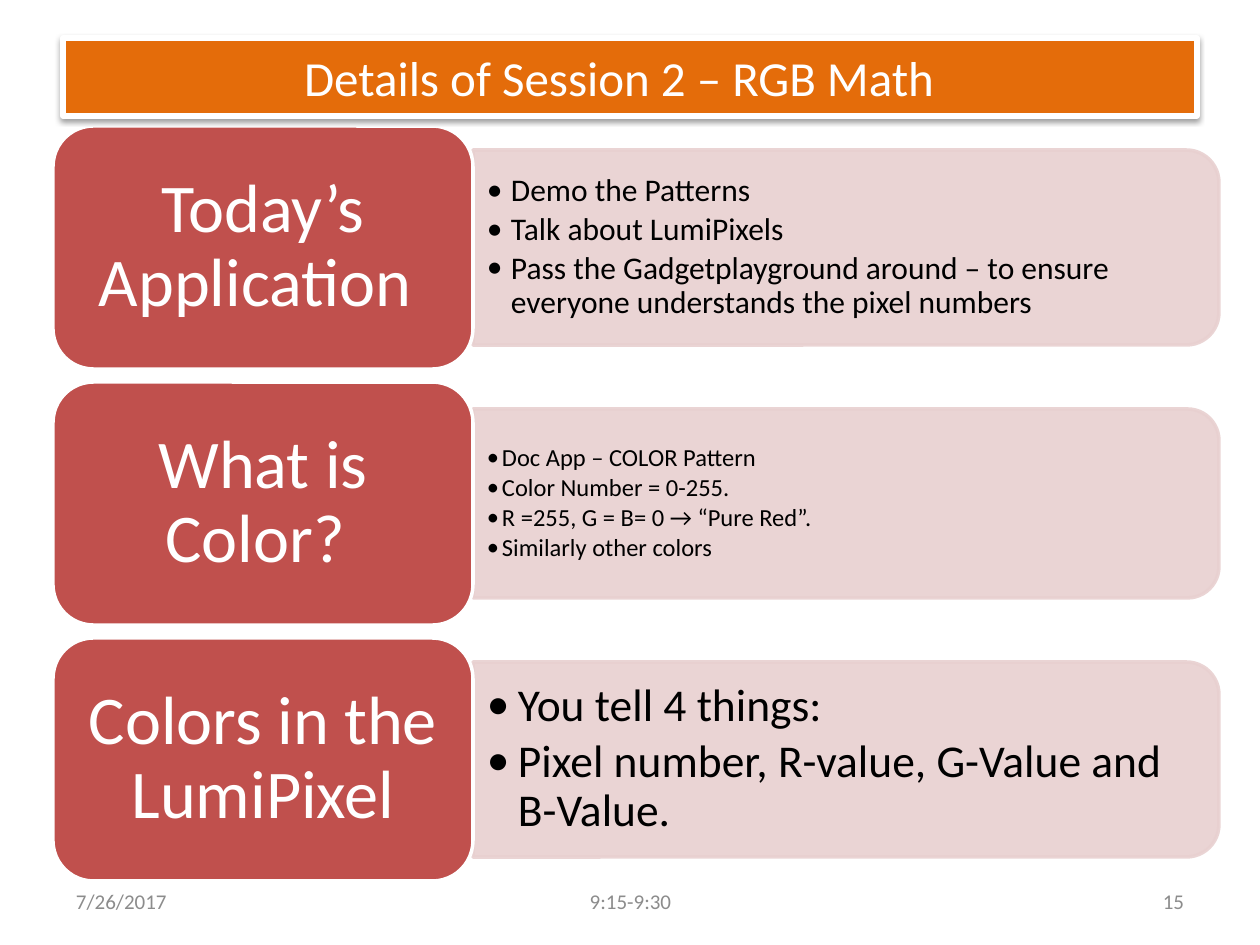
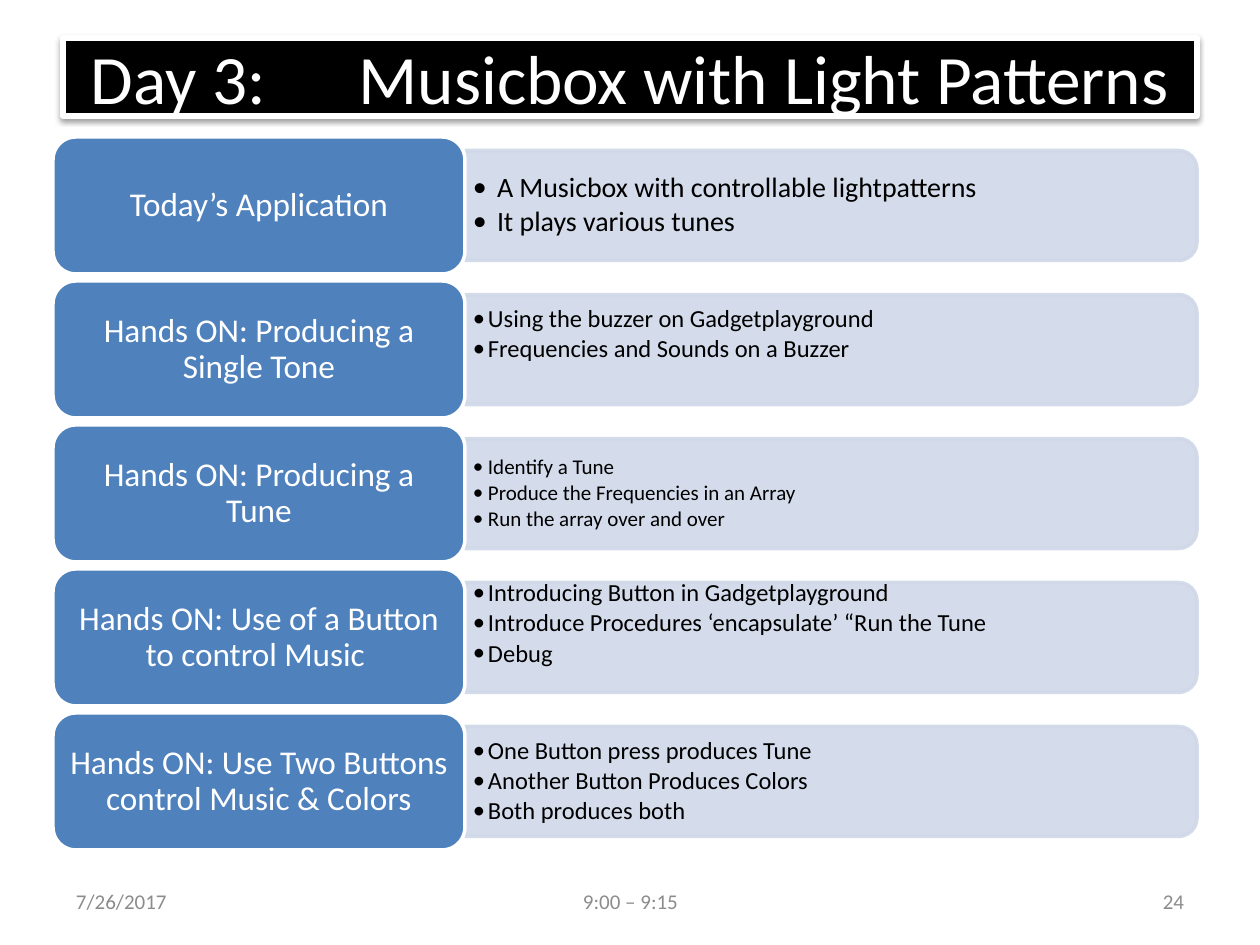
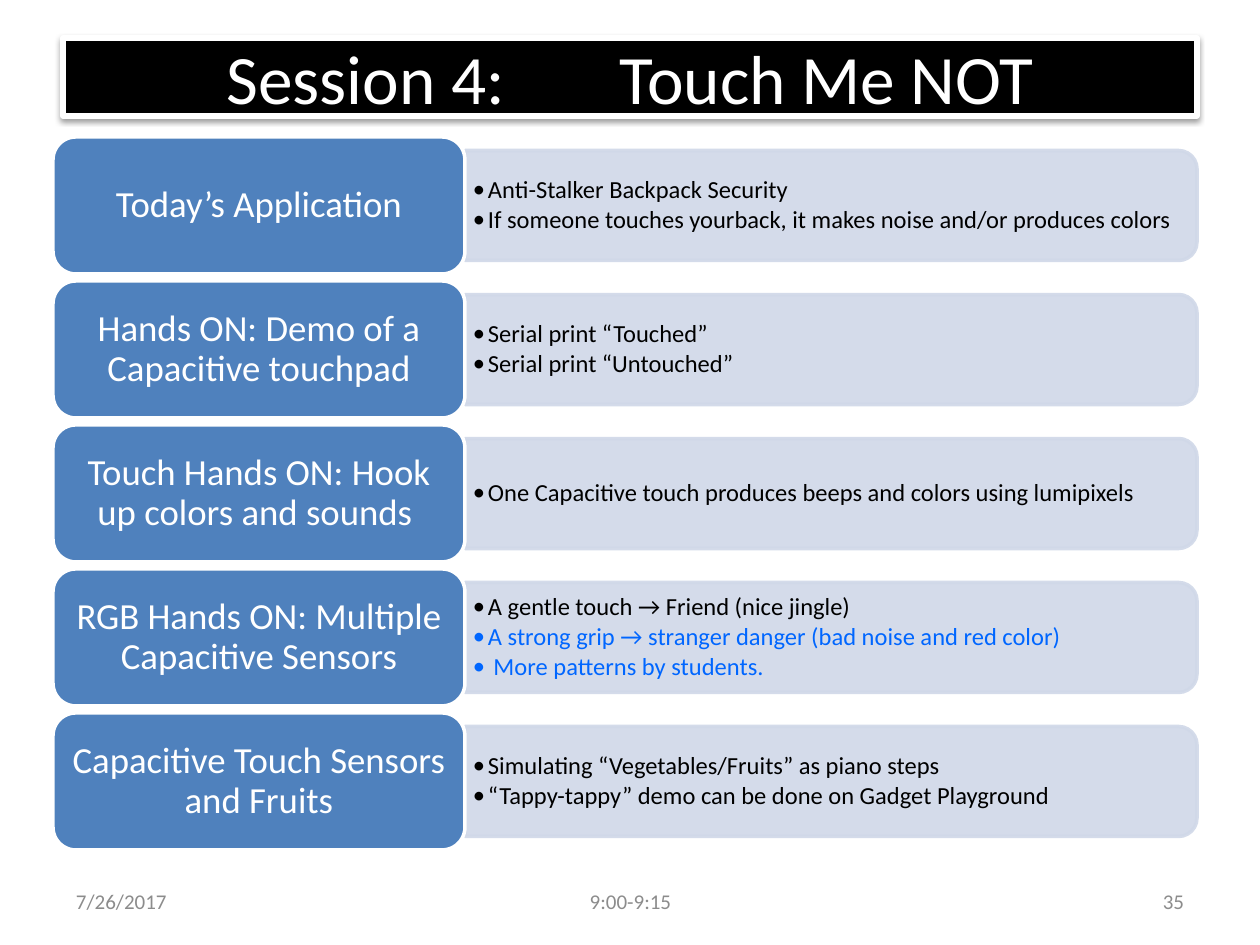
from lxml import etree
from pptx import Presentation
from pptx import util as u
from pptx.dml import color
from pptx.enum import shapes, text
from pptx.oxml import ns

SCALE = 914400 / 126  # EMU in one px
FONT = "Calibri"
WHITE, BLACK, GREY = "FFFFFF", "000000", "8C8C8C"
ORANGE, RED, PINK = "E46C0A", "C0504D", "E8D0D0"
BLUE, PALE, LINK = "4F81BD", "D0D8E8", "0066FF"
LEFT, MID, RIGHT = text.PP_ALIGN.LEFT, text.PP_ALIGN.CENTER, text.PP_ALIGN.RIGHT
KIND = shapes.MSO_SHAPE
HANG = {12: 15, 14: 15, 16: 24, 18: 24, 26: 31}  # bullet indent by text size


def px(n):
    return u.Emu(round(n * SCALE))


def rgb(code):
    return color.RGBColor.from_string(code)


def put(obj, **vals):
    for key, val in vals.items():
        setattr(obj, key, val)


def node(up, tag, **vals):
    kid = etree.SubElement(up, ns.qn(tag))
    for key, val in vals.items():
        kid.set(key, str(val))
    return kid


class Deck:
    def __init__(self):
        self.prs = Presentation()
        put(self.prs, slide_width=px(1260), slide_height=px(945))
        self.slide = None

    def page(self):
        self.slide = self.prs.slides.add_slide(self.prs.slide_layouts[6])

    def shape(self, kind, box, fill, line, width):
        shp = self.slide.shapes.add_shape(kind, *map(px, box))
        shp.shadow.inherit = False
        shp.fill.solid()
        shp.fill.fore_color.rgb = rgb(fill)
        shp.line.color.rgb = rgb(line)
        shp.line.width = u.Pt(width)
        return shp

    def label(self, box):
        return self.slide.shapes.add_textbox(*map(px, box))

    def words(self, shp, items, size, ins, align=LEFT, **form):
        """Fill a shape with (text, colour) paragraphs; ins is left, top, right, bottom."""
        frame = shp.text_frame
        sides = ("margin_left", "margin_top", "margin_right", "margin_bottom")
        put(frame, word_wrap=True, vertical_anchor=text.MSO_ANCHOR.MIDDLE,
            **dict(zip(sides, map(px, ins))))
        for i, (line, hue) in enumerate(items):
            par = frame.add_paragraph() if i else frame.paragraphs[0]
            put(par, alignment=align, **form)
            run = par.add_run()
            put(run, text=line)
            put(run.font, name=FONT, size=u.Pt(size))
            run.font.color.rgb = rgb(hue)
        return frame.paragraphs

    def title(self, line, fill, size, pad=13):
        shp = self.shape(KIND.RECTANGLE, (63, 38, 1134, 78), fill, WHITE, 3)
        glow = shp._element.spPr.find(ns.qn("a:effectLst"))
        cast = node(glow, "a:outerShdw", blurRad=u.Pt(3.1), dist=u.Pt(1.6),
                    dir=5400000, rotWithShape=0)
        node(node(cast, "a:srgbClr", val=BLACK), "a:alpha", val=38000)
        par = self.words(shp, [(line, WHITE)], size, (13, 6, pad, 6), MID)[0]
        tabs = node(par._p.get_or_add_pPr(), "a:tabLst")
        for inch in range(1, 5):
            node(tabs, "a:tab", pos=u.Inches(inch), algn="l")

    def panel(self, box, fill):
        """Rounded on the right: the preset shape turned a quarter."""
        x, y, w, h = box
        turned = (x + (w - h) / 2, y + (h - w) / 2, h, w)
        shp = self.shape(KIND.ROUND_2_SAME_RECTANGLE, turned, fill, fill, 2)
        shp.rotation = 90
        for tint in shp._element.spPr.iter(ns.qn("a:srgbClr")):
            node(tint, "a:alpha", val=90000)

    def points(self, box, items, size, ins, lift):
        x, y, w, h = box
        edge = round(h * 0.05)
        shp = self.label((x, y + edge, w - edge, h - 2 * edge))
        side, end = ins
        pars = self.words(shp, items, size, (side, end, side, end + lift),
                          line_spacing=0.9, space_after=u.Pt(size * 0.15))
        for par in pars:
            props = par._p.get_or_add_pPr()
            hang = px(HANG[size])
            props.set("marL", str(hang))
            props.set("indent", str(-hang))
            node(props, "a:buFont", typeface=FONT)
            node(props, "a:buChar", char="•")

    def head(self, box, line, fill, size, ins):
        shp = self.shape(KIND.ROUNDED_RECTANGLE, box, fill, WHITE, 2)
        self.words(shp, [(line, WHITE)], size, ins * 2, MID, line_spacing=0.9)

    def rows(self, look, rows):
        x, top, wide, high = look["head"]
        for i, (line, size, items, tall, lift) in enumerate(rows):
            y = top + i * look["step"]
            box = (x + wide, y + (high - tall) / 2, look["wide"], tall)
            items = [it if isinstance(it, tuple) else (it, BLACK) for it in items]
            self.panel(box, look["pale"])
            self.points(box, items, size, look["ins"], lift)
            self.head((x, y, wide, high), line, look["fill"], look["size"], look["pad"])

    def foot(self, time, num):
        for x, w, line, align in ((63, 294, "7/26/2017", LEFT),
                                  (903, 294, num, RIGHT), (431, 399, time, MID)):
            self.words(self.label((x, 876, w, 50)), [(line, GREY)], 12,
                       (13, 6, 13, 6), align)


# Looks of the row lists
THREE = dict(head=(53, 126, 420, 243), step=256, wide=746, ins=(14, 6),
             fill=RED, pale=PINK, size=39, pad=(20, 10))
FIVE = dict(head=(53, 137, 412, 137), step=144, wide=732, ins=(8, 4),
            fill=BLUE, pale=PALE, size=19, pad=(10, 5))
LARGE = {**FIVE, "size": 21, "pad": (11, 5)}

# Rows: heading, text size, points, panel height, room kept below the text
MATH = [
    ("Today’s Application ", 18, [
        "Demo the Patterns", "Talk about LumiPixels",
        "Pass the Gadgetplayground around – to ensure everyone understands "
        "the pixel numbers"], 195, 0),
    ("What is Color? ", 14, [
        "Doc App – COLOR Pattern", "Color Number = 0-255.",
        "R =255, G = B= 0 → “Pure Red”.", "Similarly other colors"], 189, 0),
    ("Colors in the LumiPixel", 26, [
        "You tell 4 things:", "Pixel number, R-value, G-Value and B-Value."], 195, 0),
]
MUSIC = [
    ("Today’s Application", 16, [
        "A Musicbox with controllable lightpatterns", "It plays various tunes"], 110, 0),
    ("Hands ON: Producing a Single Tone", 14, [
        "Using the buzzer on Gadgetplayground",
        "Frequencies and Sounds on a Buzzer"], 110, 30),
    ("Hands ON: Producing a Tune", 12, [
        "Identify a Tune", "Produce the Frequencies in an Array",
        "Run the array over and over"], 110, 0),
    ("Hands ON: Use of a Button to control Music ", 14, [
        "Introducing Button in Gadgetplayground",
        "Introduce Procedures ‘encapsulate’ “Run the Tune", "Debug"], 110, 27),
    ("Hands ON: Use Two Buttons control Music & Colors", 14, [
        "One Button press produces Tune", "Another Button Produces Colors",
        "Both produces both"], 110, 0),
]
TOUCH = [
    ("Today’s Application", 14, [
        "Anti-Stalker Backpack Security",
        "If someone touches yourback, it makes noise and/or produces colors"], 110, 0),
    ("Hands ON: Demo of a Capacitive touchpad", 14, [
        "Serial print “Touched”", "Serial print “Untouched”"], 110, 0),
    ("Touch Hands ON: Hook up colors and sounds ", 14, [
        "One Capacitive touch produces beeps and colors using lumipixels"], 110, 0),
    ("RGB Hands ON: Multiple Capacitive Sensors", 14, [
        "A gentle touch → Friend (nice jingle)",
        ("A strong grip → stranger danger (bad noise and red color)", LINK),
        (" More patterns by students.", LINK)], 110, 0),
    ("Capacitive Touch Sensors and Fruits", 14, [
        "Simulating “Vegetables/Fruits” as piano steps",
        "“Tappy-tappy” demo can be done on Gadget Playground"], 110, 0),
]


def main():
    deck = Deck()
    for look, rows, title, time, num in (
        (THREE, MATH, ("Details of Session 2 – RGB Math", ORANGE, 28, 35),
         "9:15-9:30", "15"),
        (FIVE, MUSIC, ("Day 3:\t Musicbox with Light Patterns", BLACK, 39.6),
         "9:00 – 9:15", "24"),
        (LARGE, TOUCH, ("Session 4:\t Touch Me NOT", BLACK, 39.6),
         "9:00-9:15", "35"),
    ):
        deck.page()
        deck.rows(look, rows)
        deck.title(*title)
        deck.foot(time, num)
    deck.prs.save("out.pptx")


if __name__ == "__main__":
    main()
